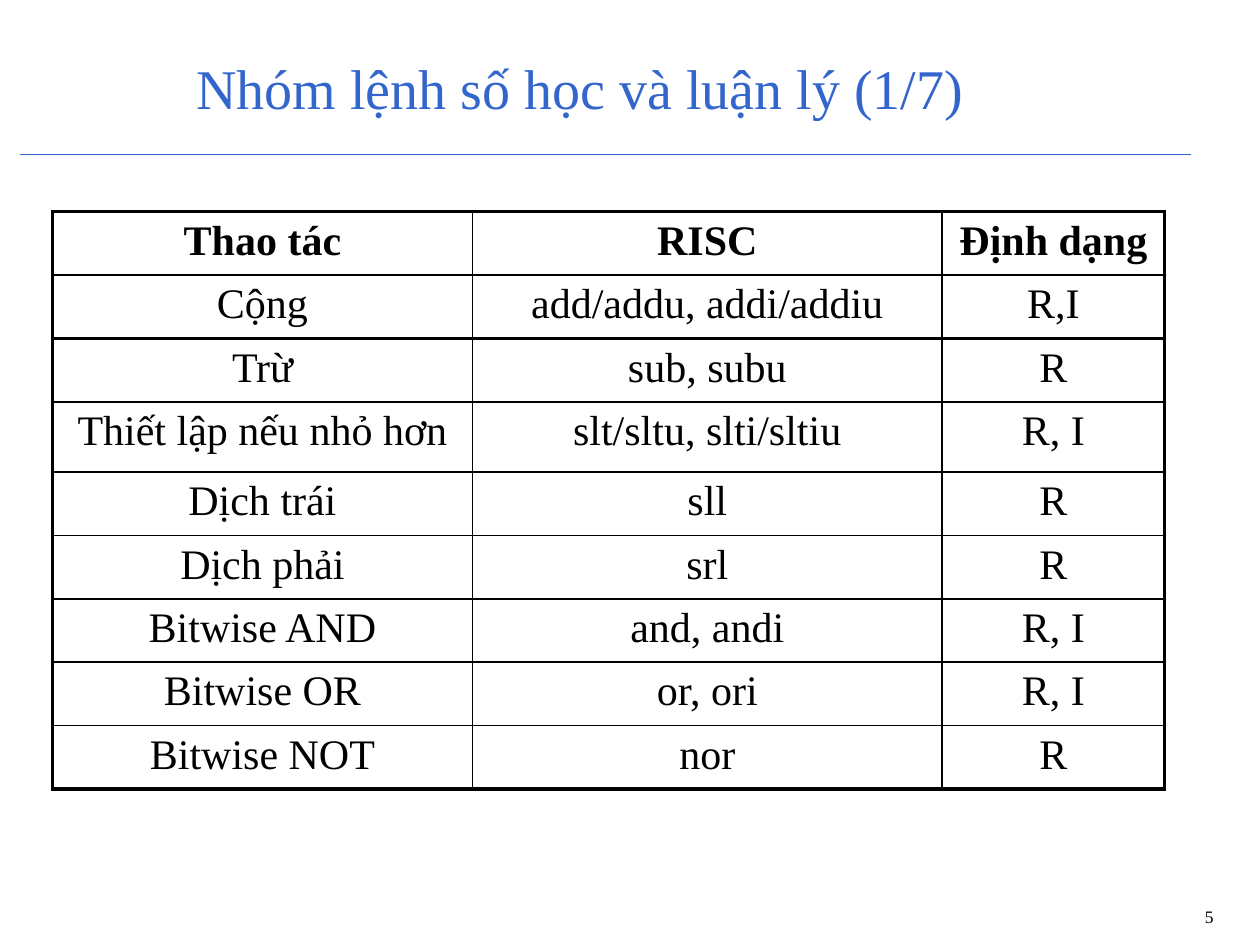
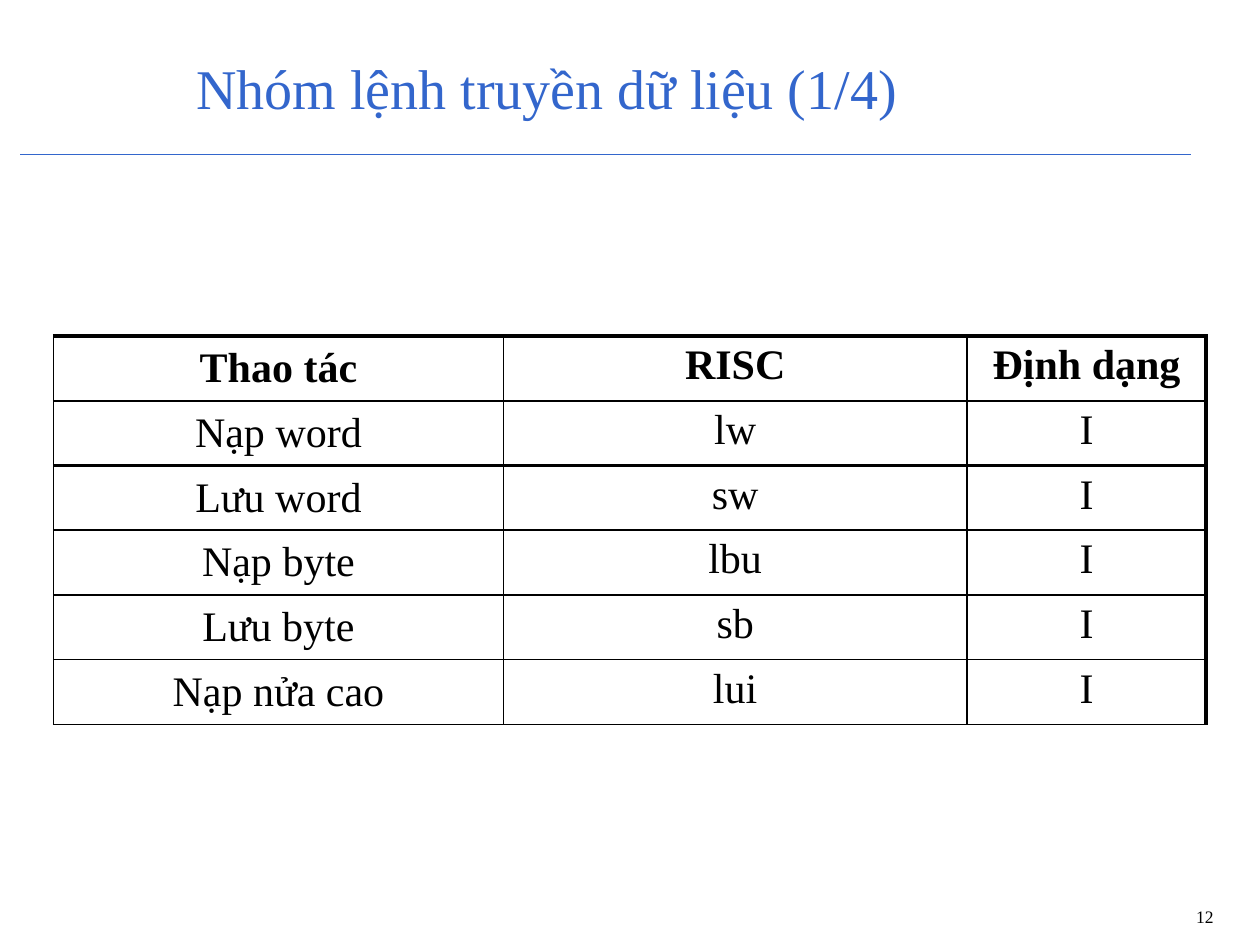
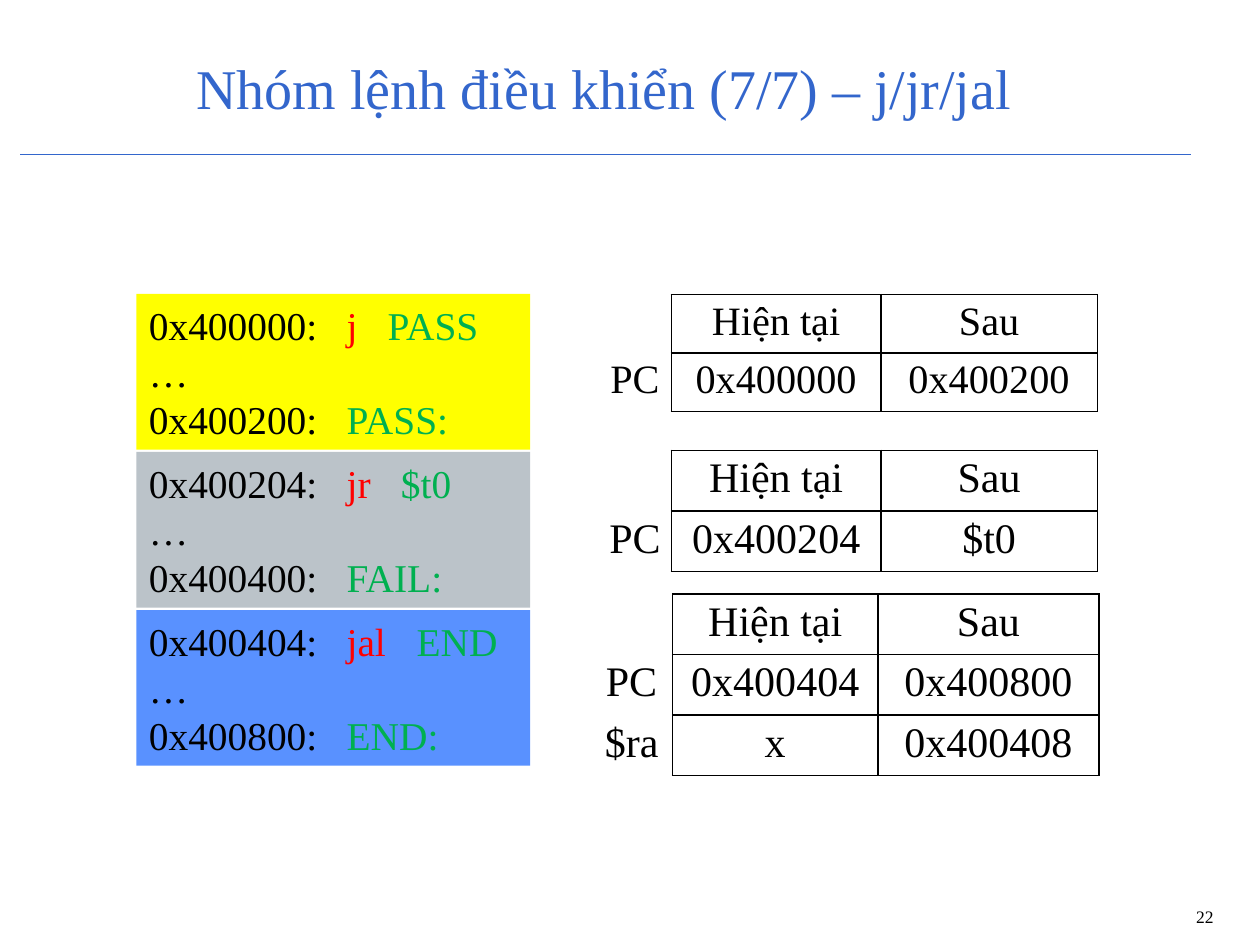
from pptx import Presentation
from pptx.dml.color import RGBColor
from pptx.enum.shapes import MSO_CONNECTOR, MSO_SHAPE
from pptx.enum.text import MSO_ANCHOR, MSO_AUTO_SIZE, PP_ALIGN
from pptx.oxml.ns import qn
from pptx.util import Pt
from lxml import etree

LEFT, CENTER, RIGHT = PP_ALIGN.LEFT, PP_ALIGN.CENTER, PP_ALIGN.RIGHT
TOP, MIDDLE = MSO_ANCHOR.TOP, MSO_ANCHOR.MIDDLE
NO_AUTOFIT = MSO_AUTO_SIZE.NONE
RECTANGLE = MSO_SHAPE.RECTANGLE
STRAIGHT = MSO_CONNECTOR.STRAIGHT

FONT = "Times New Roman"
TITLE_ONLY = 5
COLORS = {
    "accent": "3366CC",
    "text": "000000",
    "opcode": "FF0000",
    "operand": "00B050",
    "jump": "FFFF00",
    "jump_register": "BBC3C9",
    "jump_link": "5991FF",
}

# Border widths in points
THIN, MEDIUM, THICK = 1, 1.5, 2.25
HEADERS = ["Thao tác", "RISC", "Định dạng"]

ARITHMETIC = [
    HEADERS,
    ["Cộng", "add/addu, addi/addiu", "R,I"],
    ["Trừ", "sub, subu", "R"],
    ["Thiết lập nếu nhỏ hơn", "slt/sltu, slti/sltiu", "R, I"],
    ["Dịch trái", "sll", "R"],
    ["Dịch phải", "srl", "R"],
    ["Bitwise AND", "and, andi", "R, I"],
    ["Bitwise OR", "or, ori", "R, I"],
    ["Bitwise NOT", "nor", "R"],
]
TRANSFER = [
    HEADERS,
    ["Nạp word", "lw", "I"],
    ["Lưu word", "sw", "I"],
    ["Nạp byte", "lbu", "I"],
    ["Lưu byte", "sb", "I"],
    ["Nạp nửa cao", "lui", "I"],
]

# Fill, address, opcode, operand, target address, label, operand tab stop
CODE_BLOCKS = [
    ("jump", "0x400000:", "j", "PASS", "0x400200:", "PASS:", 136.5),
    ("jump_register", "0x400204:", "jr", "$t0", "0x400400:", "FAIL:", 144),
    ("jump_link", "0x400404:", "jal", "END", "0x400800:", "END:", 153),
]
OPCODE_TAB = 113

# Left, top, column widths, row height, font size, register rows
STATE_HEADERS = ["", "Hiện tại", "Sau"]
REGISTER_TABLES = [
    (342, 168.3, [41.7, 119.7, 123.7], 33, 23,
     [["PC", "0x400000", "0x400200"]]),
    (342, 257.3, [41.7, 119.7, 123.7], 34.2, 24,
     [["PC", "0x400204", "$t0"]]),
    (337.5, 339.3, [46.8, 117.4, 126.3], 34.2, 24,
     [["PC", "0x400404", "0x400800"], ["$ra", "x", "0x400408"]]),
]


def color(name):
    return RGBColor.from_string(COLORS[name])


def style_run(run, size, color_name="text", bold=False):
    run.font.name = FONT
    run.font.size = Pt(size)
    run.font.bold = bold
    run.font.color.rgb = color(color_name)


def style_paragraph(paragraph, alignment, size, color_name="text", bold=False):
    paragraph.alignment = alignment
    for run in paragraph.runs:
        style_run(run, size, color_name, bold)


# Shared slide frame: title, rule and slide number
def add_framed_slide(presentation, title_text, number):
    slide = presentation.slides.add_slide(presentation.slide_layouts[TITLE_ONLY])
    title = slide.shapes.title
    title.left, title.top, title.width, title.height = map(Pt, (105, 22.3, 579, 54.7))
    frame = title.text_frame
    frame.text = title_text
    frame.word_wrap = True
    frame.auto_size = NO_AUTOFIT
    frame.vertical_anchor = MIDDLE
    style_paragraph(frame.paragraphs[0], LEFT, 32, "accent")

    rule = slide.shapes.add_connector(STRAIGHT, Pt(11.5), Pt(88.4), Pt(680.4), Pt(88.4))
    rule.line.color.rgb = color("accent")
    rule.line.width = Pt(0.75)
    etree.SubElement(rule._element.spPr, qn("a:effectLst"))

    number_box = slide.shapes.add_textbox(Pt(562.3), Pt(514), Pt(138.2), Pt(23))
    number_box.text_frame.word_wrap = True
    number_box.text_frame.text = str(number)
    style_paragraph(number_box.text_frame.paragraphs[0], RIGHT, 10)
    return slide


# Tables
def set_border(cell, side, width):
    line = etree.SubElement(cell._tc.get_or_add_tcPr(), qn(f"a:ln{side}"))
    if not width:
        line.set("w", "0")
        etree.SubElement(line, qn("a:noFill"))
        return
    line.set("w", str(int(Pt(width))))
    fill = etree.SubElement(line, qn("a:solidFill"))
    etree.SubElement(fill, qn("a:srgbClr"), val=COLORS["text"])


def add_grid(slide, left, top, widths, heights, rows, verticals, horizontals,
             size=24, margins=(7.2, 3.6), bold_header=False,
             first_anchor=TOP, label_column=False):
    """Verticals and horizontals hold one border width per grid line."""
    graphic = slide.shapes.add_table(len(rows), len(widths), Pt(left), Pt(top),
                                     Pt(sum(widths)), Pt(sum(heights)))
    table = graphic.table
    table.first_row = table.horz_banding = False
    for column, width in zip(table.columns, widths):
        column.width = Pt(width)
    for row, height in zip(table.rows, heights):
        row.height = Pt(height)
    for row_index, values in enumerate(rows):
        for column_index, value in enumerate(values):
            cell = table.cell(row_index, column_index)
            is_label = label_column and column_index == 0
            borders = {
                "L": verticals[column_index],
                "R": verticals[column_index + 1],
                "T": 0 if is_label else horizontals[row_index],
                "B": 0 if is_label else horizontals[row_index + 1],
            }
            for side, width in borders.items():
                set_border(cell, side, width)
            cell.fill.background()
            cell.margin_left = cell.margin_right = Pt(margins[0])
            cell.margin_top = cell.margin_bottom = Pt(margins[1])
            cell.vertical_anchor = first_anchor if column_index == 0 else TOP
            cell.text_frame.text = value
            style_paragraph(cell.text_frame.paragraphs[0], CENTER, size,
                            bold=bold_header and row_index == 0)


def add_register_table(slide, left, top, widths, row_height, size, registers):
    rows = [STATE_HEADERS] + registers
    add_grid(slide, left, top, widths, [row_height] * len(rows), rows,
             [0, THIN, THIN, THIN], [THIN] * (len(rows) + 1),
             size=size, margins=(5, 2.9), label_column=True)


# Code blocks
def add_code_line(paragraph, parts, tab_stops):
    paragraph.alignment = LEFT
    paragraph.line_spacing = Pt(27)
    for text, color_name in parts:
        run = paragraph.add_run()
        run.text = text
        style_run(run, 22.5, color_name)
    tab_list = etree.SubElement(paragraph._p.get_or_add_pPr(), qn("a:tabLst"))
    for stop in tab_stops:
        etree.SubElement(tab_list, qn("a:tab"), pos=str(int(Pt(stop))), algn="l")


def add_code_block(slide, top, fill, address, opcode, operand, target, label, operand_tab):
    block = slide.shapes.add_shape(RECTANGLE, Pt(78), Pt(top), Pt(225), Pt(89))
    block.shadow.inherit = False
    block.fill.solid()
    block.fill.fore_color.rgb = color(fill)
    block.line.fill.background()
    frame = block.text_frame
    frame.word_wrap = True
    frame.vertical_anchor = MIDDLE
    lines = [
        [(address, "text"), ("\t" + opcode, "opcode"), ("\t" + operand, "operand")],
        [("…", "text")],
        [(target, "text"), ("\t" + label, "operand")],
    ]
    for index, parts in enumerate(lines):
        paragraph = frame.add_paragraph() if index else frame.paragraphs[0]
        add_code_line(paragraph, parts, [OPCODE_TAB, operand_tab])


def main():
    presentation = Presentation()
    presentation.slide_width, presentation.slide_height = Pt(720), Pt(540)

    # Arithmetic and logic instructions
    slide = add_framed_slide(presentation, "Nhóm lệnh số học và luận lý (1/7)", 5)
    add_grid(slide, 30, 121, [240, 268.4, 127.2], [36.2] * 3 + [40.2] + [36.2] * 5,
             ARITHMETIC, [THICK, THIN, THIN, THICK],
             [THICK] + [MEDIUM] * 4 + [THIN] * 4 + [THICK], bold_header=True)

    # Data transfer instructions
    slide = add_framed_slide(presentation, "Nhóm lệnh truyền dữ liệu (1/4)", 12)
    add_grid(slide, 30.6, 192, [257, 265, 136.6], [37] * len(TRANSFER),
             TRANSFER, [THIN, THIN, THIN, THICK],
             [THICK] + [MEDIUM] * 4 + [THIN] * 2, bold_header=True, first_anchor=MIDDLE)

    # Jump instructions
    slide = add_framed_slide(presentation, "Nhóm lệnh điều khiển (7/7) – j/jr/jal", 22)
    for index, block in enumerate(CODE_BLOCKS):
        add_code_block(slide, 168 + 90.3 * index, *block)
    for register_table in REGISTER_TABLES:
        add_register_table(slide, *register_table)

    presentation.save("out.pptx")


if __name__ == "__main__":
    main()
